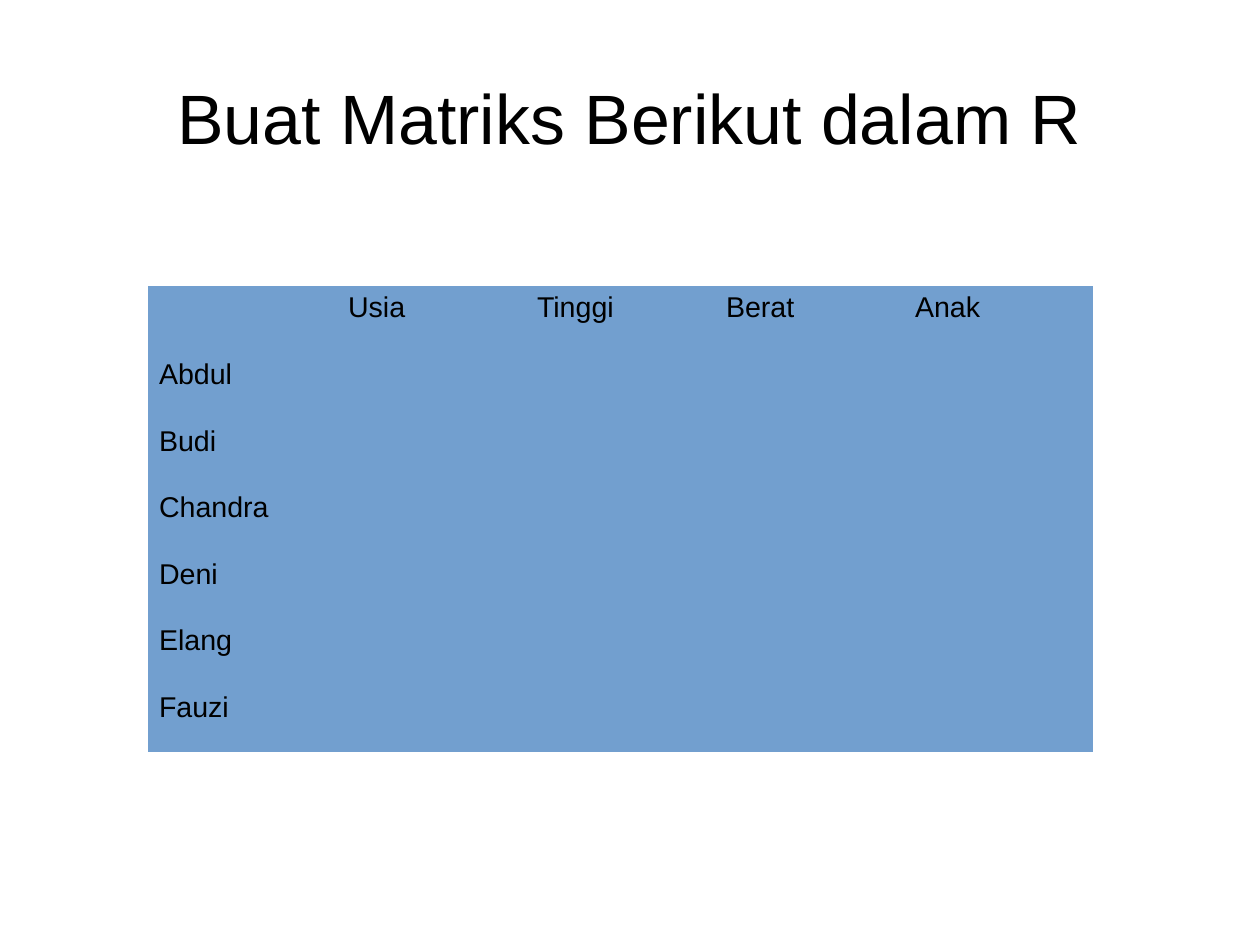
"""Build a slide with an empty matrix of people and their attributes."""
from dataclasses import dataclass

from pptx import Presentation
from pptx.dml.color import RGBColor
from pptx.enum.text import MSO_ANCHOR, PP_ALIGN
from pptx.util import Cm, Pt

LEFT, CENTER = PP_ALIGN.LEFT, PP_ALIGN.CENTER
TOP, MIDDLE = MSO_ANCHOR.TOP, MSO_ANCHOR.MIDDLE

HEADING = "Buat Matriks Berikut dalam R"
ATTRIBUTES = ["Usia", "Tinggi", "Berat", "Anak"]
PEOPLE = ["Abdul", "Budi", "Chandra", "Deni", "Elang", "Fauzi"]
MATRIX = [["", *ATTRIBUTES]] + [[person] + [""] * len(ATTRIBUTES) for person in PEOPLE]

SLIDE_SIZE = Cm(28), Cm(21)
HEADING_BOX = Cm(1.4), Cm(0.84), Cm(25.2), Cm(3.5)
MATRIX_LEFT, MATRIX_TOP = Cm(3.28), Cm(6.36)
COLUMN_WIDTH, ROW_HEIGHT = Cm(4.2), Cm(1.48)
PLAIN_TABLE_STYLE = "{2D5ABB26-0587-4C30-8999-92F81FD0307C}"


@dataclass(frozen=True)
class Theme:
    """Colours, font and type sizes of the slide."""
    font: str = "Arial"
    ink: RGBColor = RGBColor(0, 0, 0)
    cell: RGBColor = RGBColor(0x72, 0x9F, 0xCF)
    heading_size: Pt = Pt(44)
    cell_size: Pt = Pt(18)


THEME = Theme()


def write(frame, text, size=THEME.cell_size, align=LEFT):
    """Put one formatted paragraph into a text frame."""
    paragraph = frame.paragraphs[0]
    paragraph.alignment = align
    paragraph.font.size = size
    run = paragraph.add_run()
    run.text = text
    run.font.name = THEME.font
    run.font.size = size
    run.font.color.rgb = THEME.ink


def add_heading(slide):
    """Place and format the slide title."""
    heading = slide.shapes.title
    heading.left, heading.top, heading.width, heading.height = HEADING_BOX
    frame = heading.text_frame
    frame.margin_left = frame.margin_right = frame.margin_top = frame.margin_bottom = 0
    frame.vertical_anchor = MIDDLE
    frame.word_wrap = True
    write(frame, HEADING, size=THEME.heading_size, align=CENTER)


def add_matrix(slide):
    """Add the borderless matrix with its row and column names."""
    row_count, column_count = len(MATRIX), len(MATRIX[0])
    matrix = slide.shapes.add_table(
        row_count, column_count, MATRIX_LEFT, MATRIX_TOP,
        COLUMN_WIDTH * column_count, ROW_HEIGHT * row_count,
    ).table
    matrix.first_row = matrix.horz_banding = False
    style = matrix._tbl.tblPr.find("{*}tableStyleId")
    style.text = PLAIN_TABLE_STYLE
    for column in matrix.columns:
        column.width = COLUMN_WIDTH
    for row, names in zip(matrix.rows, MATRIX):
        row.height = ROW_HEIGHT
        for cell, name in zip(row.cells, names):
            cell.fill.solid()
            cell.fill.fore_color.rgb = THEME.cell
            cell.vertical_anchor = TOP
            if name:
                write(cell.text_frame, name)


def main():
    """Create and save the presentation."""
    presentation = Presentation()
    presentation.slide_width, presentation.slide_height = SLIDE_SIZE
    slide = presentation.slides.add_slide(presentation.slide_layouts[5])
    add_heading(slide)
    add_matrix(slide)
    presentation.save("out.pptx")


if __name__ == "__main__":
    main()
